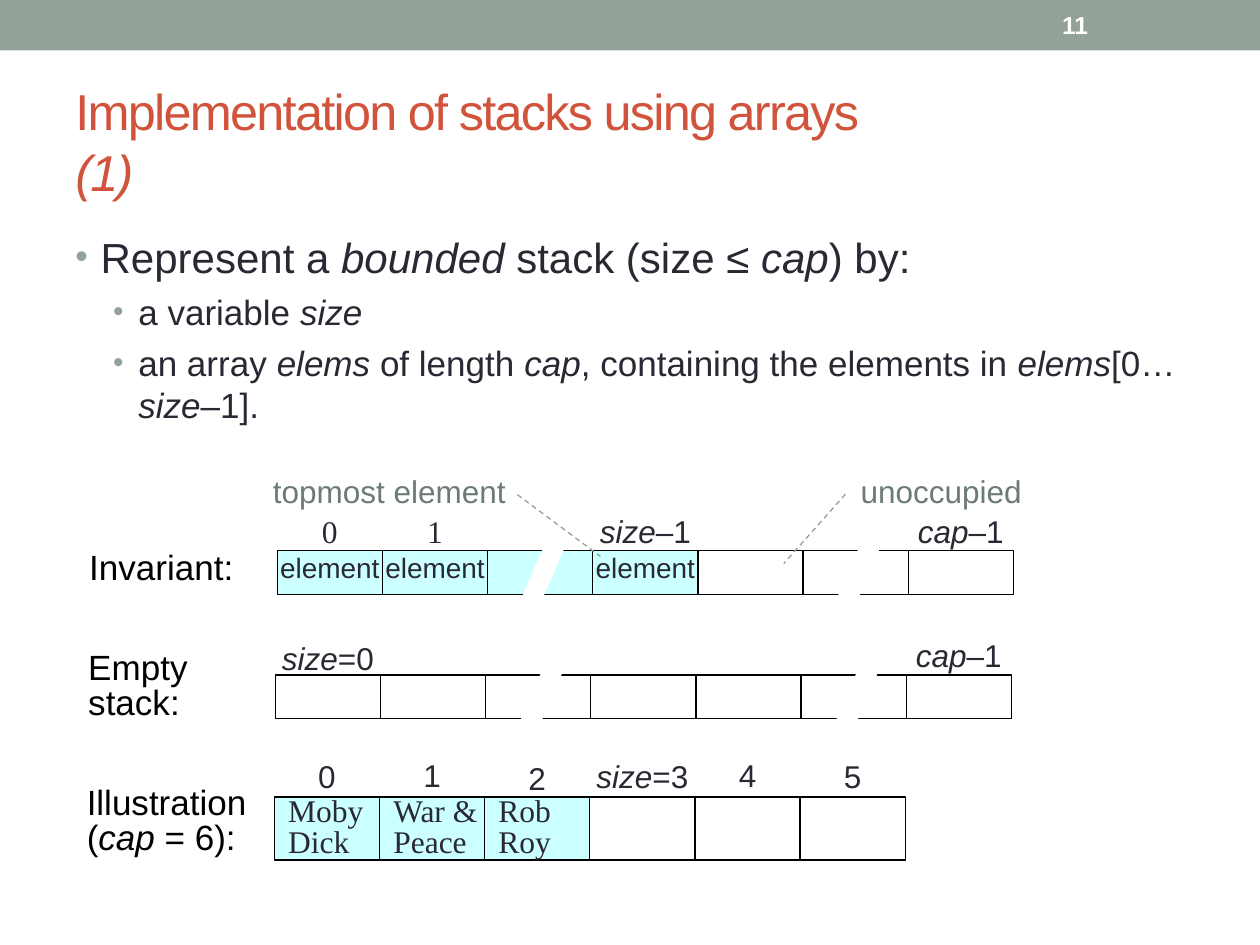
"""Builds the slide on implementing bounded stacks with arrays."""
import dataclasses

import lxml.etree
import pptx
import pptx.dml.color
import pptx.enum.dml
import pptx.enum.shapes
import pptx.enum.text
import pptx.oxml.ns
import pptx.util

Cm = pptx.util.Cm
Pt = pptx.util.Pt
RGB = pptx.dml.color.RGBColor.from_string
ALIGN = pptx.enum.text.PP_ALIGN
ANCHOR = pptx.enum.text.MSO_ANCHOR
SHAPE = pptx.enum.shapes.MSO_SHAPE


@dataclasses.dataclass(frozen=True)
class Theme:
    sans: str = "Arial"
    serif: str = "Times New Roman"
    sage: str = "93A299"
    dark_sage: str = "6B7D72"
    brick: str = "D2533C"
    ink: str = "292934"
    black: str = "000000"
    white: str = "FFFFFF"
    used: str = "CCFFFF"
    title: float = 28.8
    body: float = 24
    sub: float = 20
    label: float = 18
    element: float = 16
    number: float = 14


class Deck:
    CELL = 2.12

    def __init__(self, theme):
        self.theme = theme
        self.prs = pptx.Presentation()
        self.prs.slide_width, self.prs.slide_height = Cm(25.4), Cm(19.05)
        self.s = self.prs.slides.add_slide(self.prs.slide_layouts[6])

    def add_text(self, p, text, size, color=None, font=None, bold=False, spc=None, **fmt):
        for name, value in fmt.items():
            setattr(p, name, value)
        for i, part in enumerate(text.split("*")):
            for j, line in enumerate(part.split("\n")):
                if j:
                    p.add_line_break()
                if not line:
                    continue
                r = p.add_run()
                r.text = line
                values = {"name": font or self.theme.sans, "size": Pt(size),
                          "bold": bold, "italic": i % 2 == 1}
                for name, value in values.items():
                    setattr(r.font, name, value)
                r.font.color.rgb = RGB(color or self.theme.ink)
                if spc:
                    r._r.get_or_add_rPr().set("spc", str(spc))

    def frame(self, sp, margins=(0, 0), **fmt):
        tf = sp.text_frame
        side, top = margins
        values = {"word_wrap": True, "vertical_anchor": ANCHOR.TOP,
                  "margin_left": Cm(side), "margin_right": Cm(side),
                  "margin_top": Cm(top), "margin_bottom": Cm(top)}
        for name, value in {**values, **fmt}.items():
            setattr(tf, name, value)
        return tf

    def textbox(self, box, margins=(0, 0), **fmt):
        return self.frame(self.s.shapes.add_textbox(*map(Cm, box)), margins, **fmt)

    def shape(self, kind, box, fill=None, line=None):
        sp = self.s.shapes.add_shape(kind, *map(Cm, box))
        return self.paint(sp, fill, line)

    def paint(self, sp, fill=None, line=None):
        sp.shadow.inherit = False
        for part, color in ((sp.fill, fill), (sp.line.fill, line)):
            if color:
                part.solid()
                part.fore_color.rgb = RGB(color)
            else:
                part.background()
        if line:
            sp.line.width = Pt(0.75)
        return sp

    def bullet(self, p, indent):
        pPr = p._p.get_or_add_pPr()
        pPr.set("marL", str(Cm(indent)))
        pPr.set("indent", str(-Cm(0.51)))
        qn = pptx.oxml.ns.qn
        clr = lxml.etree.SubElement(pPr, qn("a:buClr"))
        lxml.etree.SubElement(clr, qn("a:srgbClr"), val=self.theme.sage)
        lxml.etree.SubElement(pPr, qn("a:buSzPct"), val="85000")
        lxml.etree.SubElement(pPr, qn("a:buFont"), typeface=self.theme.sans)
        lxml.etree.SubElement(pPr, qn("a:buChar"), char="•")

    def bullets(self, box, items):
        tf = self.textbox(box, (0.25, 0.13))
        for i, (text, size, indent) in enumerate(items):
            p = tf.add_paragraph() if i else tf.paragraphs[0]
            self.bullet(p, indent)
            self.add_text(p, text, size, space_before=Pt(5 if i else 0))

    def row_label(self, left, top, height, text):
        fit = pptx.enum.text.MSO_AUTO_SIZE.SHAPE_TO_FIT_TEXT
        tf = self.textbox((left, top, 3.51, height), auto_size=fit)
        self.add_text(tf.paragraphs[0], text, self.theme.sub, self.theme.black,
                      line_spacing=Pt(20))

    def cells(self, left, top, height, count, used=()):
        for i in range(count):
            fill = self.theme.used if i in used else self.theme.white
            box = (left + i * self.CELL, top, self.CELL, height)
            yield self.shape(SHAPE.RECTANGLE, box, fill, self.theme.black)

    def gap(self, left, top, index):
        x, y = left + index * self.CELL + 0.63, top - 0.4
        points = [(x + dx, y + dy) for dx, dy in ((0.64, 0), (0, 1.48), (0.43, 1.48), (1.07, 0))]
        start, *rest = [(Cm(px), Cm(py)) for px, py in points]
        fb = self.s.shapes.build_freeform(*start)
        fb.add_line_segments(rest, close=True)
        self.paint(fb.convert_to_shape(), self.theme.white)

    def index_label(self, left, index, top, text, font=None):
        width = 2.57
        x = left + (index + 0.5) * self.CELL - width / 2
        tf = self.textbox((x, top, width, 0.66))
        self.add_text(tf.paragraphs[0], text, self.theme.label, font=font,
                      alignment=ALIGN.CENTER, line_spacing=Pt(18))

    def callout(self, box, text, adjustments):
        sp = self.shape(SHAPE.LINE_CALLOUT_1_NO_BORDER, box, line=self.theme.sage)
        sp.line.dash_style = pptx.enum.dml.MSO_LINE.DASH
        for i, value in enumerate(adjustments):
            sp.adjustments[i] = value
        self.add_text(self.frame(sp).paragraphs[0], text, self.theme.label,
                      self.theme.dark_sage, alignment=ALIGN.CENTER, line_spacing=Pt(18))


def main():
    t = Theme()
    d = Deck(t)
    d.shape(SHAPE.RECTANGLE, (0, 0, 25.4, 1.02), t.sage)
    tf = d.textbox((21.16, 0.05, 2.97, 0.91), (0.25, 0.13), vertical_anchor=ANCHOR.MIDDLE)
    d.add_text(tf.paragraphs[0], "11", t.number, t.white, bold=True)
    tf = d.textbox((1.27, 1.47, 22.86, 2.74), (0.25, 0.13), vertical_anchor=ANCHOR.MIDDLE)
    d.add_text(tf.paragraphs[0], "Implementation of stacks using arrays \n*(1)*",
               t.title, t.brick, spc=-100)
    d.bullets((1.27, 4.53, 22.86, 13.46), [
        ("Represent a *bounded* stack (size ≤ *cap*) by:", t.body, 0.51),
        ("a variable *size*", t.sub, 1.27),
        ("an array *elems* of length *cap*, containing the elements in "
         "*elems*[0… *size*–1].", t.sub, 1.27)])

    rows = [
        ((1.8, 11.13, 0.71, "Invariant:"), (5.59, 11.1, 0.88, 7, range(4)),
         {0: "element", 1: "element", 3: "element"}, (2, 5),
         [(0, 10.44, "0", t.serif), (1, 10.44, "1", t.serif),
          (3, 10.44, "*size*–1"), (6, 10.44, "*cap*–1")]),
        ((1.78, 13.16, 1.42, "Empty stack:"), (5.55, 13.61, 0.88, 7), {}, (2, 5),
         [(0, 13, "*size*=0"), (6, 12.95, "*cap*–1")]),
        ((1.75, 15.88, 1.42, "Illustration\n(*cap* = 6):"),
         (5.53, 16.07, 1.27, 6, range(3)),
         {0: "Moby Dick", 1: "War & Peace", 2: "Rob Roy"}, (),
         [(0, 15.39, "0"), (1, 15.37, "1"), (2, 15.42, "2"),
          (3, 15.39, "*size*=3"), (4, 15.37, "4"), (5, 15.39, "5")]),
    ]
    for label, grid, contents, gaps, indices in rows:
        left, top = grid[:2]
        d.row_label(*label)
        for i, sp in enumerate(d.cells(*grid)):
            if i not in contents:
                continue
            if contents[i] == "element":
                d.add_text(d.frame(sp).paragraphs[0], contents[i], t.element,
                           alignment=ALIGN.CENTER)
            else:
                d.add_text(d.frame(sp, margin_left=Cm(0.28)).paragraphs[0], contents[i],
                           t.label, font=t.serif, alignment=ALIGN.LEFT, line_spacing=Pt(18))
        for i in gaps:
            d.gap(left, top, i)
        for index in indices:
            d.index_label(left, *index)

    d.callout((5.46, 9.65, 4.78, 0.61), "topmost element", (0.53, 1.04, 2.57, 1.39))
    d.callout((17.25, 9.65, 3.45, 0.58), "unoccupied", (0.54, -0.06, 2.95, -0.42))
    d.prs.save("out.pptx")


if __name__ == "__main__":
    main()
